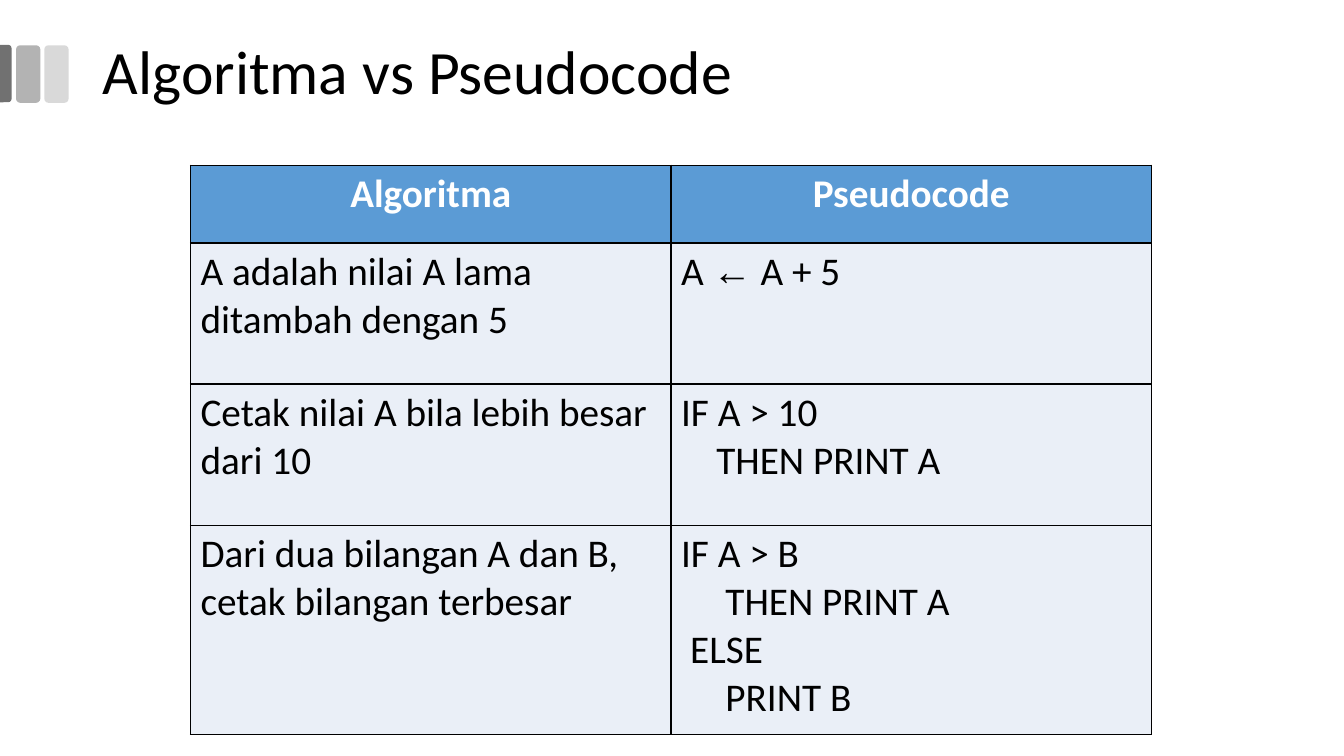
import dataclasses
import typing

import pptx
import pptx.dml.color
import pptx.enum.shapes
import pptx.enum.text
import pptx.oxml
import pptx.oxml.ns
import pptx.util

Inches = pptx.util.Inches
Pt = pptx.util.Pt
Shapes = pptx.enum.shapes.MSO_SHAPE
Align = pptx.enum.text.PP_ALIGN
Anchor = pptx.enum.text.MSO_ANCHOR


@dataclasses.dataclass(frozen=True)
class Theme:
    font: str = "Calibri"
    symbol_font: str = "Arial"
    title_size: float = 44
    table_size: float = 28
    border_width: float = 0.96
    text: str = "000000"
    header_text: str = "FFFFFF"
    header_fill: str = "5B9BD5"
    body_fill: str = "EAEFF7"


@dataclasses.dataclass(frozen=True)
class Bar:
    kind: typing.Any
    left: float
    top: float
    width: float
    height: float
    color: str
    adjustments: tuple[float, ...] = (0.167,)
    rotation: float = 0


@dataclasses.dataclass(frozen=True)
class Line:
    text: str
    indent: float = 0


@dataclasses.dataclass(frozen=True)
class Row:
    height: float
    algorithm: tuple[Line, ...]
    pseudocode: tuple[Line, ...]


THEME = Theme()
ARROW = "←"
BARS = (
    Bar(Shapes.ROUNDED_RECTANGLE, 0.44, 0.45, 0.24, 0.57, "D9D9D9"),
    Bar(Shapes.ROUNDED_RECTANGLE, 0.16, 0.45, 0.24, 0.57, "B3B3B3"),
    Bar(Shapes.ROUND_2_SAME_RECTANGLE, -0.23, 0.67, 0.57, 0.12, "717171", (0.292, 0), 90),
)
ROWS = (
    Row(0.77, (Line("Algoritma"),), (Line("Pseudocode"),)),
    Row(1.4, (Line("A adalah nilai A lama ditambah dengan 5"),), (Line("A ← A + 5"),)),
    Row(
        1.4,
        (Line("Cetak nilai A bila lebih besar dari 10"),),
        (Line("IF A > 10"), Line("THEN PRINT A", 0.35)),
    ),
    Row(
        2.08,
        (Line("Dari dua bilangan A dan B, cetak bilangan terbesar"),),
        (
            Line("IF A > B"),
            Line("THEN PRINT A", 0.44),
            Line("ELSE", 0.09),
            Line("PRINT B", 0.44),
        ),
    ),
)


def apply_format(target: typing.Any, values: dict[str, typing.Any]) -> None:
    for name, value in values.items():
        setattr(target, name, value)


def rgb(color: str) -> pptx.dml.color.RGBColor:
    return pptx.dml.color.RGBColor.from_string(color)


def fill_solid(target: typing.Any, color: str) -> None:
    target.fill.solid()
    target.fill.fore_color.rgb = rgb(color)


def add_run(paragraph: typing.Any, text: str, size: float, color: str, bold: bool = False) -> None:
    run = paragraph.add_run()
    run.text = text
    font_name = THEME.symbol_font if text == ARROW else THEME.font
    apply_format(run.font, {"name": font_name, "size": Pt(size), "bold": bold})
    run.font.color.rgb = rgb(color)


def add_bar(slide: typing.Any, bar: Bar) -> None:
    shape = slide.shapes.add_shape(
        bar.kind, Inches(bar.left), Inches(bar.top), Inches(bar.width), Inches(bar.height)
    )
    for index, value in enumerate(bar.adjustments):
        shape.adjustments[index] = value
    shape.rotation = bar.rotation
    shape.shadow.inherit = False
    fill_solid(shape, bar.color)
    shape.line.fill.background()


def format_title(slide: typing.Any, text: str) -> None:
    title = slide.shapes.title
    apply_format(
        title,
        {"left": Inches(0.92), "top": Inches(0.01), "width": Inches(11.5), "height": Inches(1.45)},
    )
    apply_format(
        title.text_frame,
        {
            "word_wrap": True,
            "auto_size": pptx.enum.text.MSO_AUTO_SIZE.NONE,
            "vertical_anchor": Anchor.MIDDLE,
        },
    )
    paragraph = title.text_frame.paragraphs[0]
    apply_format(paragraph, {"alignment": Align.LEFT, "line_spacing": 0.9})
    add_run(paragraph, text, THEME.title_size, THEME.text)


def add_borders(cell: typing.Any) -> None:
    properties = cell._tc.get_or_add_tcPr()
    for position, side in enumerate(("lnL", "lnR", "lnT", "lnB")):
        border = pptx.oxml.parse_xml(
            f'<a:{side} {pptx.oxml.ns.nsdecls("a")} w="{Pt(THEME.border_width)}">'
            f'<a:solidFill><a:srgbClr val="{THEME.text}"/></a:solidFill></a:{side}>'
        )
        properties.insert(position, border)


def fill_cell(cell: typing.Any, lines: tuple[Line, ...], header: bool) -> None:
    fill_solid(cell, THEME.header_fill if header else THEME.body_fill)
    add_borders(cell)
    color = THEME.header_text if header else THEME.text
    for index, line in enumerate(lines):
        frame = cell.text_frame
        paragraph = frame.add_paragraph() if index else frame.paragraphs[0]
        paragraph.alignment = Align.CENTER if header else Align.LEFT
        if line.indent:
            paragraph._p.get_or_add_pPr().set("marL", str(Inches(line.indent)))
        for part in line.text.partition(ARROW):
            if part:
                add_run(paragraph, part, THEME.table_size, color, header)


def add_comparison(slide: typing.Any, rows: tuple[Row, ...]) -> None:
    height = sum(row.height for row in rows)
    table = slide.shapes.add_table(
        len(rows), 2, Inches(1.89), Inches(1.64), Inches(9.53), Inches(height)
    ).table
    apply_format(table, {"first_row": True, "horz_banding": False})
    for index, row in enumerate(rows):
        table.rows[index].height = Inches(row.height)
        for column, lines in enumerate((row.algorithm, row.pseudocode)):
            fill_cell(table.cell(index, column), lines, index == 0)


def main() -> None:
    presentation = pptx.Presentation()
    apply_format(presentation, {"slide_width": Inches(13.33), "slide_height": Inches(7.5)})
    slide = presentation.slides.add_slide(presentation.slide_layouts.get_by_name("Title Only"))
    for bar in BARS:
        add_bar(slide, bar)
    format_title(slide, "Algoritma vs Pseudocode")
    add_comparison(slide, ROWS)
    presentation.save("out.pptx")


if __name__ == "__main__":
    main()
